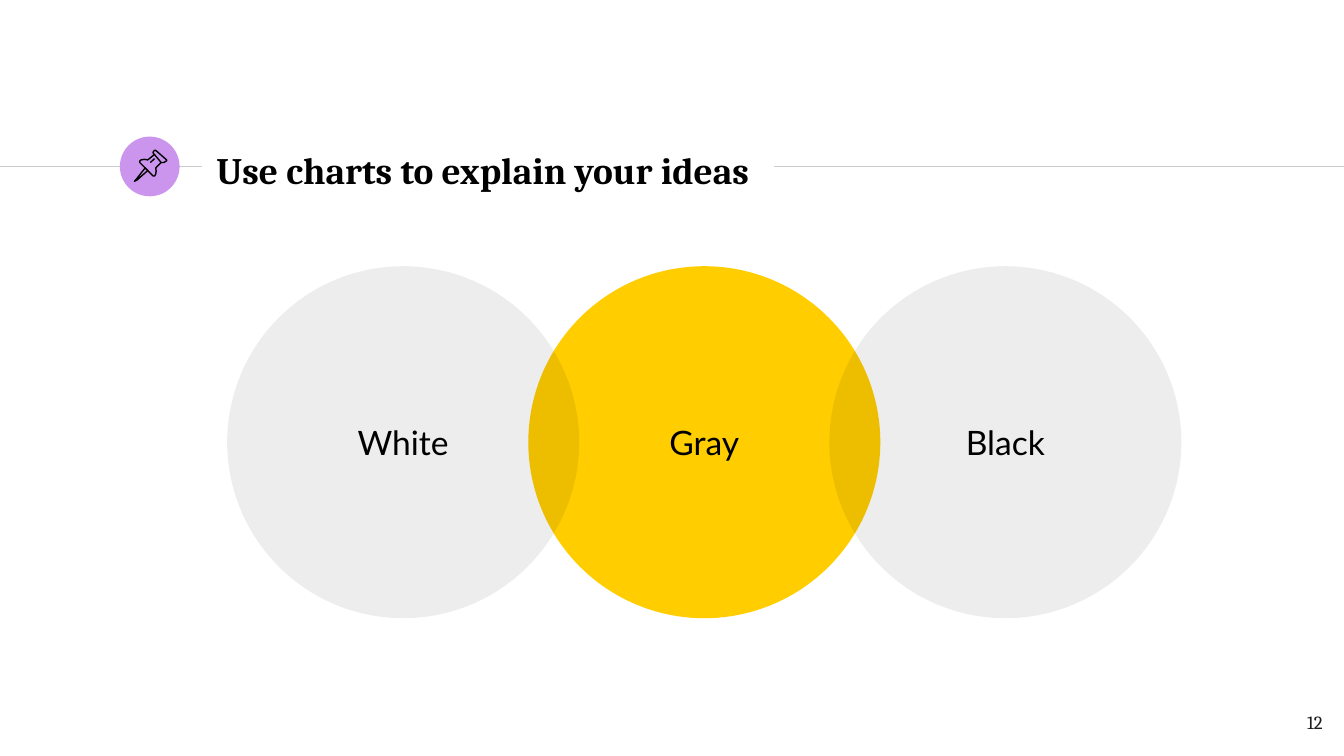
from dataclasses import dataclass

from lxml import etree
from pptx import Presentation
from pptx.dml.color import RGBColor
from pptx.enum import shapes, text
from pptx.oxml import ns
from pptx.util import Pt

BLACK = "000000"
DIAMETER = 188.6
STEP = 161.3
FIRST_LEFT = 121.7
CIRCLE_TOP = 142.6
RULE_Y = 89.3


@dataclass
class Circle:
    column: int
    label: str
    color: str
    alpha: int = 100


@dataclass
class Outline:
    points: list[tuple[float, float]]
    close: bool = False


CIRCLES = [
    Circle(1, "Gray", "FFCD00"),
    Circle(0, "White", BLACK, 7),
    Circle(2, "Black", BLACK, 7),
]

PIN = [
    Outline([(77.8, 90), (72.7, 96.5), (72, 97.2), (73.4, 96.5), (79.2, 91.4)], True),
    Outline([(82.8, 82.8), (86.4, 87.1), (87.8, 87.1), (88.6, 86.6), (89.3, 86.2),
             (89.3, 85.7), (83.5, 80.6), (82.8, 80.6), (82.1, 81.4), (82.1, 82.1)], True),
    Outline([(82.8, 82.8), (79.2, 85.7), (77.4, 85.4), (75.6, 85.7), (74.9, 86.4),
             (74.9, 87.1), (82.1, 94.3), (82.9, 94.3), (83.5, 93.2), (83.7, 91.8),
             (83.5, 90), (86.4, 87.1)]),
    Outline([(80.6, 87.1), (82.8, 85)]),
]


def rgb(color: str) -> RGBColor:
    return RGBColor.from_string(color)


def write(tf, words: str, font: str, size: float, color: str, align, anchor, bold=False) -> None:
    tf.text = words
    tf.word_wrap = True
    tf.auto_size = text.MSO_AUTO_SIZE.NONE
    tf.vertical_anchor = anchor
    tf.margin_left = tf.margin_right = tf.margin_top = tf.margin_bottom = Pt(7.2)
    p = tf.paragraphs[0]
    p.alignment = align
    f = p.runs[0].font
    f.name, f.size, f.bold = font, Pt(size), bold
    f.color.rgb = rgb(color)


def add_rule(s, start: float, end: float) -> None:
    line = s.shapes.add_connector(
        shapes.MSO_CONNECTOR.STRAIGHT, Pt(start), Pt(RULE_Y), Pt(end), Pt(RULE_Y))
    line.line.color.rgb = rgb("CCCCCC")
    line.line.width = Pt(0.75)
    etree.SubElement(line._element.spPr, ns.qn("a:effectLst"))


def add_disc(s, left: float, top: float, size: float, color: str, alpha: int = 100):
    sp = s.shapes.add_shape(
        shapes.MSO_SHAPE.OVAL, Pt(left), Pt(top), Pt(size), Pt(size))
    sp.shadow.inherit = False
    sp.fill.solid()
    sp.fill.fore_color.rgb = rgb(color)
    sp.line.fill.background()
    if alpha < 100:
        clr = sp._element.spPr.find(".//" + ns.qn("a:srgbClr"))
        etree.SubElement(clr, ns.qn("a:alpha"), val=str(alpha * 1000))
    return sp


def add_circle(s, circle: Circle) -> None:
    left = FIRST_LEFT + circle.column * STEP
    sp = add_disc(s, left, CIRCLE_TOP, DIAMETER, circle.color, circle.alpha)
    write(sp.text_frame, circle.label, "Lato", 18, BLACK,
          text.PP_ALIGN.CENTER, text.MSO_ANCHOR.MIDDLE)


def add_outline(s, outline: Outline) -> None:
    start, *rest = [(Pt(x), Pt(y)) for x, y in outline.points]
    builder = s.shapes.build_freeform(*start)
    builder.add_line_segments(rest, close=outline.close)
    sp = builder.convert_to_shape()
    sp.shadow.inherit = False
    sp.fill.background()
    sp.line.color.rgb = rgb(BLACK)
    sp.line.width = Pt(0.75)


def main() -> None:
    prs = Presentation()
    prs.slide_width, prs.slide_height = Pt(720), Pt(405)
    s = prs.slides.add_slide(prs.slide_layouts[5])

    add_rule(s, 0, 108)
    add_disc(s, 64.2, 73.2, 32, "CC95ED")
    add_rule(s, 414.7, 720)

    title = s.shapes.title
    title.left, title.top, title.width, title.height = Pt(108.7), Pt(73.4), Pt(305.3), Pt(34.6)
    write(title.text_frame, "Use charts to explain your ideas", "Cambria", 20, BLACK,
          text.PP_ALIGN.LEFT, text.MSO_ANCHOR.MIDDLE, True)

    number = s.shapes.add_textbox(Pt(672.5), Pt(373.7), Pt(43.2), Pt(31))
    write(number.text_frame, "12", "Cambria", 10, "1D1D1B",
          text.PP_ALIGN.RIGHT, text.MSO_ANCHOR.TOP)

    for circle in CIRCLES:
        add_circle(s, circle)
    for outline in PIN:
        add_outline(s, outline)

    prs.save("out.pptx")


if __name__ == "__main__":
    main()
